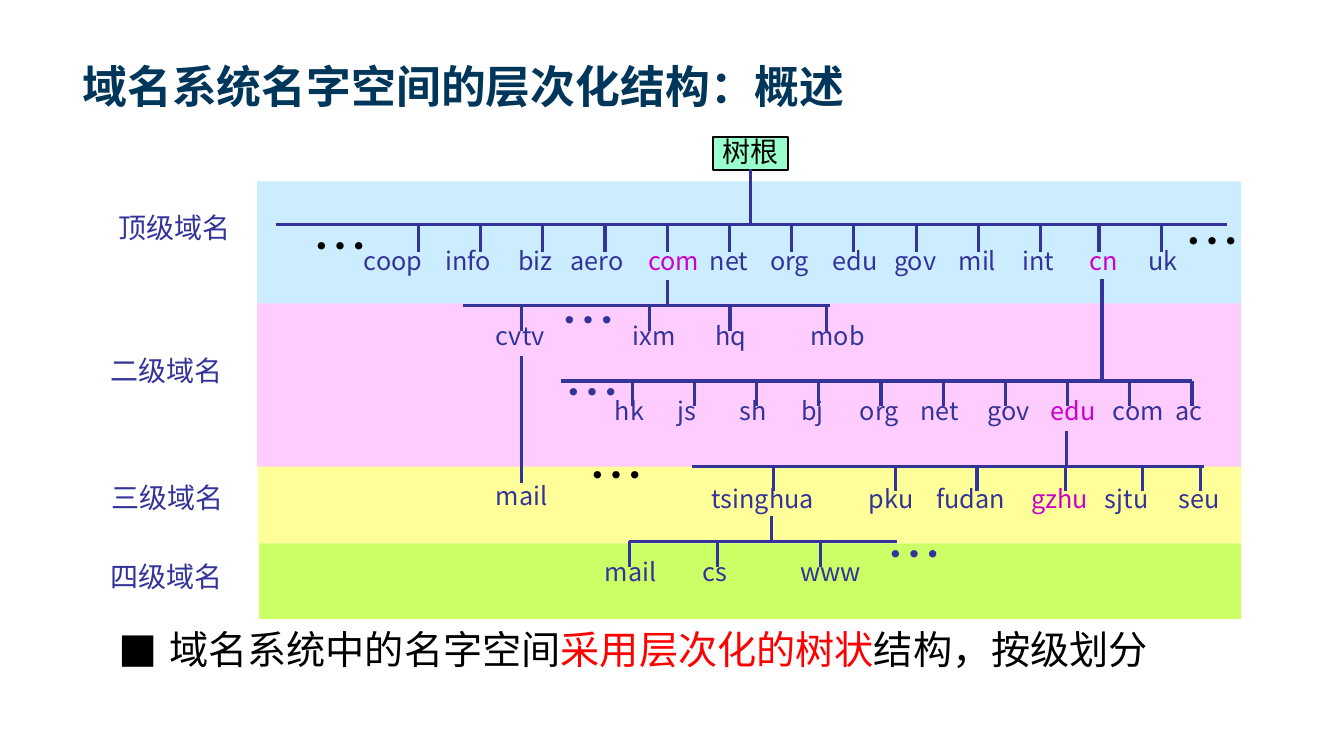
from lxml import etree
from pptx import Presentation
from pptx import util as u
from pptx.dml.color import RGBColor
from pptx.enum import lang, shapes, text
from pptx.oxml import ns

COLORS = {
    "title": "003659", "ink": "333399", "active": "CC00CC", "black": "000000",
    "red": "FF0000", "root": "99FFCC", "top": "CCECFF", "second": "FFCCFF",
    "third": "FFFF99", "fourth": "CCFF66",
}
FONT = "Noto Sans CJK SC"
STEP = 0.617  # gap between evenly spaced twigs


def color(name):
    return RGBColor.from_string(COLORS[name])


def inches(*lengths):
    return [u.Inches(length) for length in lengths]


def add_run(paragraph, words, size, color_name, font=FONT, bold=False):
    run = paragraph.add_run()
    run.text = words
    run.font.size = u.Pt(size)
    run.font.name = font
    run.font.bold = bold
    run.font.language_id = lang.MSO_LANGUAGE_ID.SIMPLIFIED_CHINESE
    run.font.color.rgb = color(color_name)
    east_asian = etree.SubElement(run.font._element, ns.qn("a:ea"))
    east_asian.set("typeface", FONT)


def add_text(slide, box, words, size, color_name):
    shape = slide.shapes.add_textbox(*inches(*box))
    shape.text_frame.word_wrap = True
    paragraph = shape.text_frame.paragraphs[0]
    paragraph.line_spacing = 0.9
    if words:
        add_run(paragraph, words, size, color_name)
    return shape


def add_rectangle(slide, box, fill):
    shape = slide.shapes.add_shape(shapes.MSO_SHAPE.RECTANGLE, *inches(*box))
    shape.shadow.inherit = False
    shape.fill.solid()
    shape.fill.fore_color.rgb = color(fill)
    shape.line.fill.background()
    return shape


def add_line(slide, x1, y1, x2, y2):
    line = slide.shapes.add_connector(
        shapes.MSO_CONNECTOR.STRAIGHT, *inches(x1, y1, x2, y2))
    line.line.color.rgb = color("ink")
    line.line.width = u.Pt(2.25)
    etree.SubElement(line._element.spPr, ns.qn("a:effectLst"))


def add_title(slide, box):
    shape = slide.shapes.add_textbox(*inches(*box))
    frame = shape.text_frame
    frame.word_wrap = True
    frame.vertical_anchor = text.MSO_ANCHOR.BOTTOM
    frame.margin_bottom = 0
    add_run(frame.paragraphs[0], "域名系统名字空间的层次化结构：概述",
            32, "title", "Arial", True)


def add_bands(slide, box):
    left, top, width, _ = box
    # fill, left offset, top offset, height
    for fill, dx, dy, height in [("third", 0.01, 2.8, 0.79), ("fourth", 0.02, 3.59, 0.75),
                                 ("second", 0, 1.15, 1.68), ("top", 0, 0, 1.21)]:
        add_rectangle(slide, (left + dx, top + dy, width - dx, height), fill)


def add_level_names(slide, box):
    left, top, width, height = box
    for words, dx, dy in [("顶级域名", 0.08, 0), ("二级域名", 0, 1.42),
                          ("三级域名", 0.01, 2.68), ("四级域名", 0, 3.46)]:
        add_text(slide, (left + dx, top + dy, width, height), words, 20, "ink")


def add_root(slide, box):
    shape = add_rectangle(slide, box, "root")
    shape.line.color.rgb = color("black")
    shape.line.width = u.Pt(1.5)
    frame = shape.text_frame
    frame.word_wrap = False
    frame.vertical_anchor = text.MSO_ANCHOR.MIDDLE
    paragraph = frame.paragraphs[0]
    paragraph.alignment = text.PP_ALIGN.CENTER
    paragraph.line_spacing = 0.9
    add_run(paragraph, "树根", 20, "black")


def add_branch(slide, box, stem, ticks, names, dots, dots_color="ink",
               drop=0.13, active=()):
    """Crossbar on the box's top edge; all offsets start at its top left."""
    left, top, width, tick_height = box
    stem_x, stem_height = stem
    add_line(slide, left, top, left + width, top)
    add_line(slide, left + stem_x, top - stem_height, left + stem_x, top)
    for tick in ticks:
        add_line(slide, left + tick, top, left + tick, top + tick_height)
    for name, dx, name_width in names:
        add_text(slide, (left + dx, top + drop, name_width, 0.39), name, 18,
                 "active" if name in active else "ink")
    for dx, dy in dots:
        add_text(slide, (left + dx, top + dy, 0.68, 0.75), "…", 40, dots_color)


def add_single_leaf(slide, box):
    left, top, width, height = box
    add_line(slide, left + 0.35, top, left + 0.35, top + height)
    add_text(slide, (left, top + height - 0.04, width, 0.39), "mail", 18, "ink")


def add_tree(slide):
    # Top level
    add_branch(
        slide, (2.74, 2.23, 9.43, 0.27), (4.7, 0.55),
        [1.41 + STEP * i for i in range(11)] + [8.16, 8.78],
        [("coop", 0.77, 0.85), ("info", 1.58, 0.7), ("biz", 2.3, 0.57),
         ("aero", 2.82, 0.77), ("com", 3.59, 0.76), ("net", 4.2, 0.62),
         ("org", 4.8, 0.64), ("edu", 5.42, 0.69), ("gov", 6.03, 0.68),
         ("mil", 6.67, 0.59), ("int", 7.3, 0.54), ("cn", 7.97, 0.5),
         ("uk", 8.55, 0.51)],
        [(0.26, -0.11), (8.91, -0.15)], "black", 0.19, ("com", "cn"))
    # Under com
    add_branch(
        slide, (4.59, 3.03, 3.64, 0.25), (2.03, 0.25), [0.58, 1.85, 2.65, 3.61],
        [("cvtv", 0.23, 0.71), ("ixm", 1.59, 0.7), ("hq", 2.41, 0.54),
         ("mob", 3.35, 0.74)],
        [(0.87, -0.17)])
    # Under cn
    add_branch(
        slide, (5.56, 3.78, 6.26, 0.25), (5.37, 1.01),
        [0.71 + STEP * i for i in range(10)],
        [("hk", 0.44, 0.51), ("js", 1.06, 0.39), ("sh", 1.68, 0.49),
         ("bj", 2.29, 0.44), ("org", 2.87, 0.64), ("net", 3.47, 0.62),
         ("gov", 4.14, 0.68), ("edu", 4.76, 0.69), ("com", 5.38, 0.76),
         ("ac", 6, 0.48)],
        [(-0.06, -0.21)], active=("edu",))
    # Under edu
    add_branch(
        slide, (6.86, 4.63, 5.08, 0.24), (3.72, 0.35),
        [0.81, 2.02, 2.83, 3.71, 4.47, 5.05],
        [("tsinghua", 0.1, 1.32), ("pku", 1.66, 0.68), ("fudan", 2.33, 0.95),
         ("gzhu", 3.27, 0.84), ("sjtu", 4, 0.66), ("seu", 4.73, 0.64)],
        [(-1.12, -0.23)], "black", 0.15, ("gzhu",))
    # Under tsinghua
    add_branch(
        slide, (6.24, 5.37, 2.66, 0.26), (1.41, 0.25), [0, 0.88, 1.9],
        [("mail", -0.34, 0.74), ("cs", 0.63, 0.46), ("www", 1.6, 0.84)],
        [(2.45, -0.19)])
    add_single_leaf(slide, (4.82, 3.53, 0.74, 1.26))


def add_summary(slide, box):
    shape = add_text(slide, box, "", 28, "black")
    paragraph = shape.text_frame.paragraphs[0]
    properties = paragraph._p.get_or_add_pPr()
    properties.set("marL", str(u.Inches(0.5)))
    properties.set("indent", str(-u.Inches(0.5)))
    etree.SubElement(properties, ns.qn("a:buFont")).set("typeface", FONT)
    etree.SubElement(properties, ns.qn("a:buChar")).set("char", "■")
    for words, color_name in [("域名系统中的名字空间", "black"),
                              ("采用层次化的树状", "red"),
                              ("结构，按级划分", "black")]:
        add_run(paragraph, words, 28, color_name)


def main():
    presentation = Presentation()
    presentation.slide_width, presentation.slide_height = inches(13.33, 7.5)
    slide = presentation.slides.add_slide(presentation.slide_layouts[6])
    add_title(slide, (0.72, 0.14, 11.88, 0.98))
    add_bands(slide, (2.55, 1.8, 9.76, 4.34))
    add_level_names(slide, (1, 2.08, 1.5, 0.43))
    add_root(slide, (7.07, 1.36, 0.75, 0.33))
    add_tree(slide)
    add_summary(slide, (1.08, 6.21, 11.03, 0.57))
    presentation.save("out.pptx")


if __name__ == "__main__":
    main()
